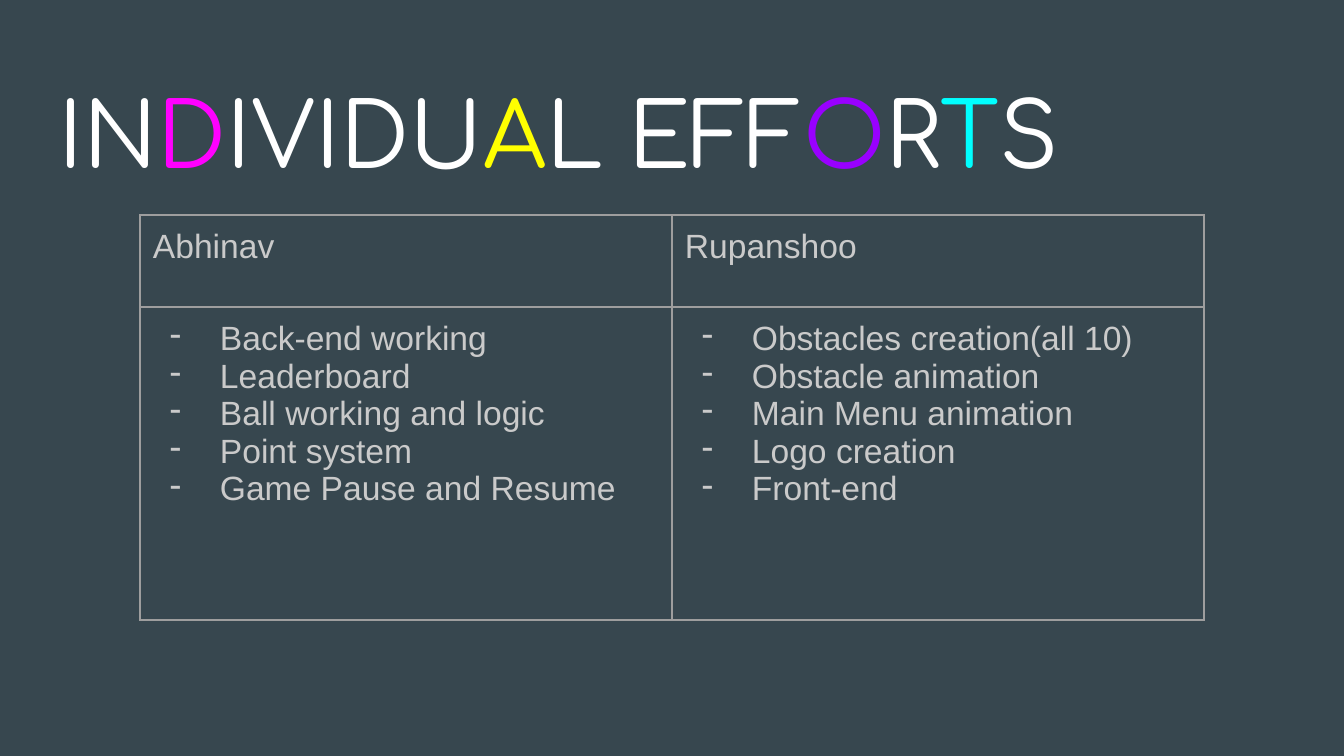
from dataclasses import dataclass

from pptx import Presentation
from pptx.dml.color import RGBColor
from pptx.enum.text import MSO_ANCHOR as Anchor
from pptx.oxml.ns import qn
from pptx.util import Pt
from lxml.etree import SubElement as sub

EMU_PER_PX = 9144000 / 1344


def px(length):
    """Convert pixels to EMU."""
    return round(length * EMU_PER_PX)


@dataclass(frozen=True)
class Theme:
    """Colours, fonts and sizes of the deck."""
    background: str = "37474F"
    heading: str = "FFFFFF"
    magenta: str = "FF00FF"
    yellow: str = "FFFF00"
    purple: str = "9900FF"
    cyan: str = "00FFFF"
    body: str = "CACACA"
    border: str = "9E9E9E"
    heading_font: str = "Comfortaa"
    body_font: str = "Arial"
    heading_size: int = 48
    body_size: int = 18
    border_width: float = 0.75
    inset: int = 13


class SlideBuilder:
    """Draws styled elements on the current slide."""

    def __init__(self, slide, theme):
        """Keep the slide and theme, and paint the background."""
        self.slide, self.theme = slide, theme
        fill = slide.background.fill
        fill.solid()
        fill.fore_color.rgb = RGBColor.from_string(theme.background)

    def run(self, paragraph, text, font, size, color):
        """Append one styled run."""
        run = paragraph.add_run()
        run.text = text
        run.font.name, run.font.size = font, Pt(size)
        run.font.color.rgb = RGBColor.from_string(color)

    def inset(self, holder):
        """Give a text frame or cell equal margins."""
        holder.margin_left = holder.margin_right = px(self.theme.inset)
        holder.margin_top = holder.margin_bottom = px(self.theme.inset)

    def heading(self, left, top, width, height, parts):
        """Add a heading made of coloured runs."""
        box = self.slide.shapes.add_textbox(px(left), px(top), px(width), px(height))
        frame = box.text_frame
        frame.word_wrap = True
        frame.vertical_anchor = Anchor.TOP
        self.inset(frame)
        for text, color in parts:
            self.run(frame.paragraphs[0], text, self.theme.heading_font,
                     self.theme.heading_size, color)

    def dash(self, paragraph):
        """Turn a paragraph into a dashed list item."""
        props = paragraph._p.get_or_add_pPr()
        props.set("marL", str(px(67)))
        props.set("indent", str(-px(50)))
        color = sub(props, qn("a:buClr"))
        sub(color, qn("a:srgbClr"), val=self.theme.body)
        sub(props, qn("a:buChar"), char="-")

    def cell(self, cell, lines, dashed):
        """Fill one table cell and draw its borders."""
        self.inset(cell)
        cell.vertical_anchor = Anchor.TOP
        props = cell._tc.get_or_add_tcPr()
        for side in ("lnL", "lnR", "lnT", "lnB"):
            line = sub(props, qn(f"a:{side}"), w=str(Pt(self.theme.border_width)))
            sub(sub(line, qn("a:solidFill")), qn("a:srgbClr"), val=self.theme.border)
        cell.fill.background()
        frame = cell.text_frame
        for index, text in enumerate(lines):
            paragraph = frame.add_paragraph() if index else frame.paragraphs[0]
            if dashed:
                self.dash(paragraph)
            self.run(paragraph, text, self.theme.body_font,
                     self.theme.body_size, self.theme.body)

    def table(self, left, top, column_width, row_heights, efforts):
        """Add a table with one column per person."""
        table = self.slide.shapes.add_table(
            len(row_heights), len(efforts), px(left), px(top),
            px(column_width * len(efforts)), px(sum(row_heights))).table
        table.first_row = table.horz_banding = False
        for row, height in zip(table.rows, row_heights):
            row.height = px(height)
        for index, (person, tasks) in enumerate(efforts.items()):
            table.columns[index].width = px(column_width)
            self.cell(table.cell(0, index), [person], False)
            self.cell(table.cell(1, index), tasks, True)


def main():
    """Build and save the slide."""
    deck = Presentation()
    deck.slide_width, deck.slide_height = px(1344), px(756)
    theme = Theme()
    builder = SlideBuilder(deck.slides.add_slide(deck.slide_layouts[6]), theme)
    builder.heading(46, 66, 1253, 120, [
        ("IN", theme.heading), ("D", theme.magenta),
        ("IVIDU", theme.heading), ("A", theme.yellow),
        ("L EFF", theme.heading), ("O", theme.purple),
        ("R", theme.heading), ("T", theme.cyan),
        ("S", theme.heading),
    ])
    builder.table(140, 215, 532, [92, 313], {
        "Abhinav": ["Back-end working", "Leaderboard", "Ball working and logic",
                    "Point system", "Game Pause and Resume"],
        "Rupanshoo": ["Obstacles creation(all 10)", "Obstacle animation",
                      "Main Menu animation", "Logo creation", "Front-end"],
    })
    deck.save("out.pptx")


if __name__ == "__main__":
    main()
